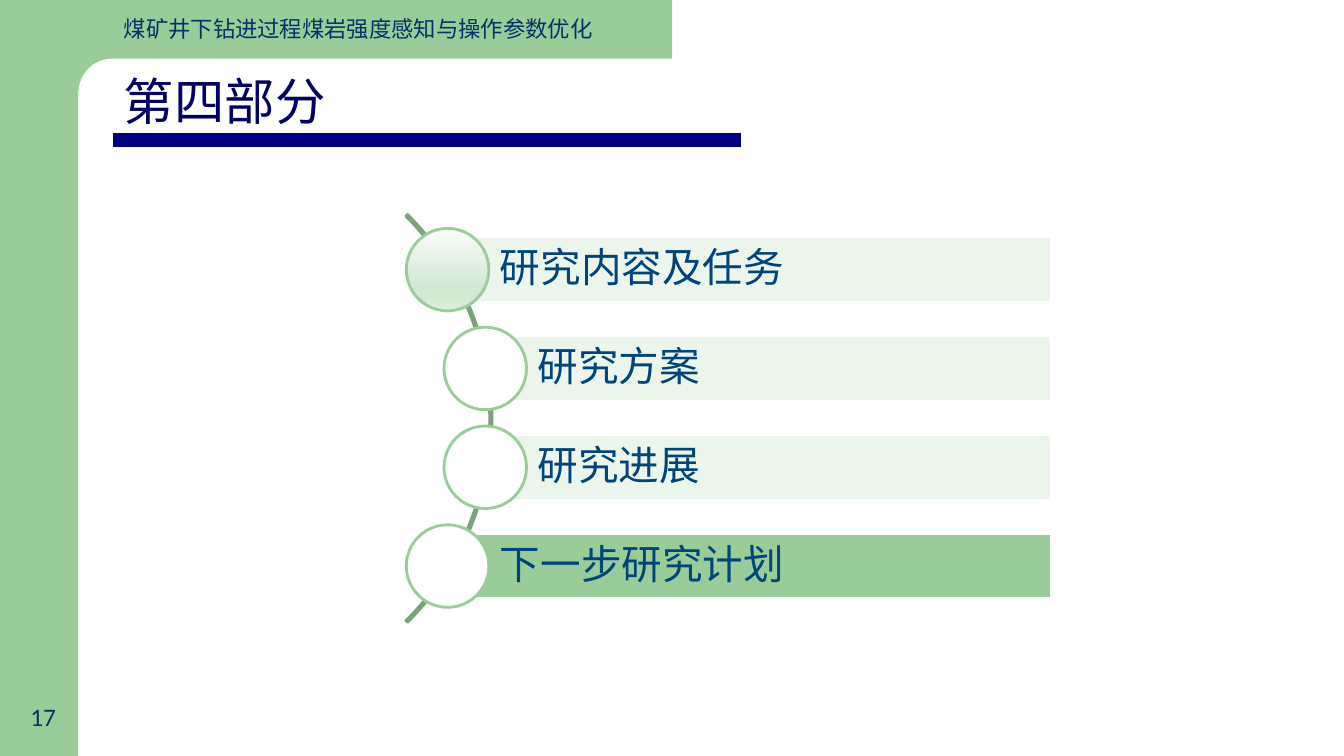
"""Build the agenda slide that opens part four."""
import lxml.etree
import pptx
import pptx.dml.color
import pptx.enum.shapes
import pptx.enum.text
import pptx.oxml
import pptx.oxml.ns
import pptx.util

Cm = pptx.util.Cm
Pt = pptx.util.Pt
Kind = pptx.enum.shapes.MSO_SHAPE
Align = pptx.enum.text.PP_ALIGN
Anchor = pptx.enum.text.MSO_ANCHOR
qn = pptx.oxml.ns.qn

THEME = {
    "green": "99CC99", "pale": "EBF5EB", "white": "FFFFFF", "arc": "7BA37B",
    "rule": "000080", "title": "000066", "ink": "003366", "label": "00447A",
    "glow": [(0, "FAFCFA"), (74, "D1E8D1"), (83, "D1E8D1"), (100, "E0F0E0")],
    "cjk": "Noto Sans CJK SC", "latin": "Calibri",
    "head": 16, "big": 36, "item": 29, "page": 18,
}


def color(name):
    return pptx.dml.color.RGBColor.from_string(THEME[name])


def draw(kind, box, fill=None, line=None):
    shape = slide.shapes.add_shape(kind, *[Cm(n) for n in box])
    shape.shadow.inherit = False
    if fill:
        shape.fill.solid()
        shape.fill.fore_color.rgb = color(fill)
    else:
        shape.fill.background()
    if line:
        shape.line.color.rgb = color(line)
        shape.line.width = Pt(2)
    else:
        shape.line.fill.background()
    return shape


deck = pptx.Presentation()
deck.slide_width, deck.slide_height = Cm(33.87), Cm(19.05)
slide = deck.slides.add_slide(deck.slide_layouts[5])

draw(Kind.RECTANGLE, (0, 0, 1.97, 19.05), "green")
draw(Kind.RECTANGLE, (1.97, 0, 14.97, 2.3), "green")
panel = draw(Kind.ROUNDED_RECTANGLE, (1.98, 1.48, 18.9, 1.7), "white")
panel.adjustments[0] = 0.5

head = slide.shapes.add_textbox(Cm(2.87), Cm(0.25), Cm(13.67), Cm(0.94))
page = slide.shapes.add_textbox(Cm(0), Cm(17.55), Cm(2.18), Cm(1.02))
title = slide.shapes.title
title.left, title.top, title.width, title.height = Cm(2.87), Cm(1.63), Cm(6.2), Cm(1.8)
slide.shapes.element.append(title.element)

texts = [
    (head, "煤矿井下钻进过程煤岩强度感知与操作参数优化", "cjk", "head", "ink", Align.LEFT, Anchor.TOP),
    (title, "第四部分", "cjk", "big", "title", Align.LEFT, Anchor.TOP),
    (page, "17", "latin", "page", "ink", Align.CENTER, Anchor.TOP),
]

arc = draw(Kind.BLOCK_ARC, (-2.13, 3.28, 14.53, 14.53), line="arc")
for n, value in enumerate((189, 27, 0.004)):
    arc.adjustments[n] = value

items = [
    ("研究内容及任务", 11.28, "pale"),
    ("研究方案", 12.23, "pale"),
    ("研究进展", 12.23, "pale"),
    ("下一步研究计划", 11.28, "green"),
]
first, pitch, high, right, size = 5.97, 2.49, 1.65, 26.5, 2.08
dots = []
for n, (label, left, fill) in enumerate(items):
    top = first + n * pitch
    bar = draw(Kind.RECTANGLE, (left, top, right - left, high), fill, "white")
    frame = bar.text_frame
    frame.margin_left = Cm(1.32)
    frame.margin_right = frame.margin_top = frame.margin_bottom = Cm(0.2)
    texts.append((bar, label, "cjk", "item", "label", Align.LEFT, Anchor.MIDDLE))
    box = (left - size / 2, top + (high - size) / 2, size, size)
    dots.append(draw(Kind.OVAL, box, "white", "green"))

dots[0].fill.gradient()
dots[0].fill.gradient_angle = 270
stops = dots[0].element.spPr.find(".//" + qn("a:gsLst"))
for stop in list(stops):
    stops.remove(stop)
for share, tint in THEME["glow"]:
    stop = lxml.etree.SubElement(stops, qn("a:gs"), pos=str(share * 1000))
    lxml.etree.SubElement(stop, qn("a:srgbClr"), val=tint)

for shape, text, font, points, ink, align, anchor in texts:
    frame = shape.text_frame
    frame.text = text
    frame.word_wrap = True
    frame.auto_size = pptx.enum.text.MSO_AUTO_SIZE.NONE
    frame.vertical_anchor = anchor
    para = frame.paragraphs[0]
    para.alignment = align
    para.line_spacing = 0.9 if points == "item" else 1.0
    run = para.runs[0]
    run.font.name = THEME[font]
    run.font.size = Pt(THEME[points])
    run.font.color.rgb = color(ink)
    props = run.font._element
    lxml.etree.SubElement(props, qn("a:ea"), typeface=THEME[font])

rule = slide.shapes.add_connector(
    pptx.enum.shapes.MSO_CONNECTOR.STRAIGHT, Cm(2.85), Cm(3.54), Cm(18.67), Cm(3.54))
rule.line.color.rgb = color("rule")
rule.line.width = Pt(10)
lxml.etree.SubElement(rule.element.spPr, qn("a:effectLst"))

deck.save("out.pptx")
